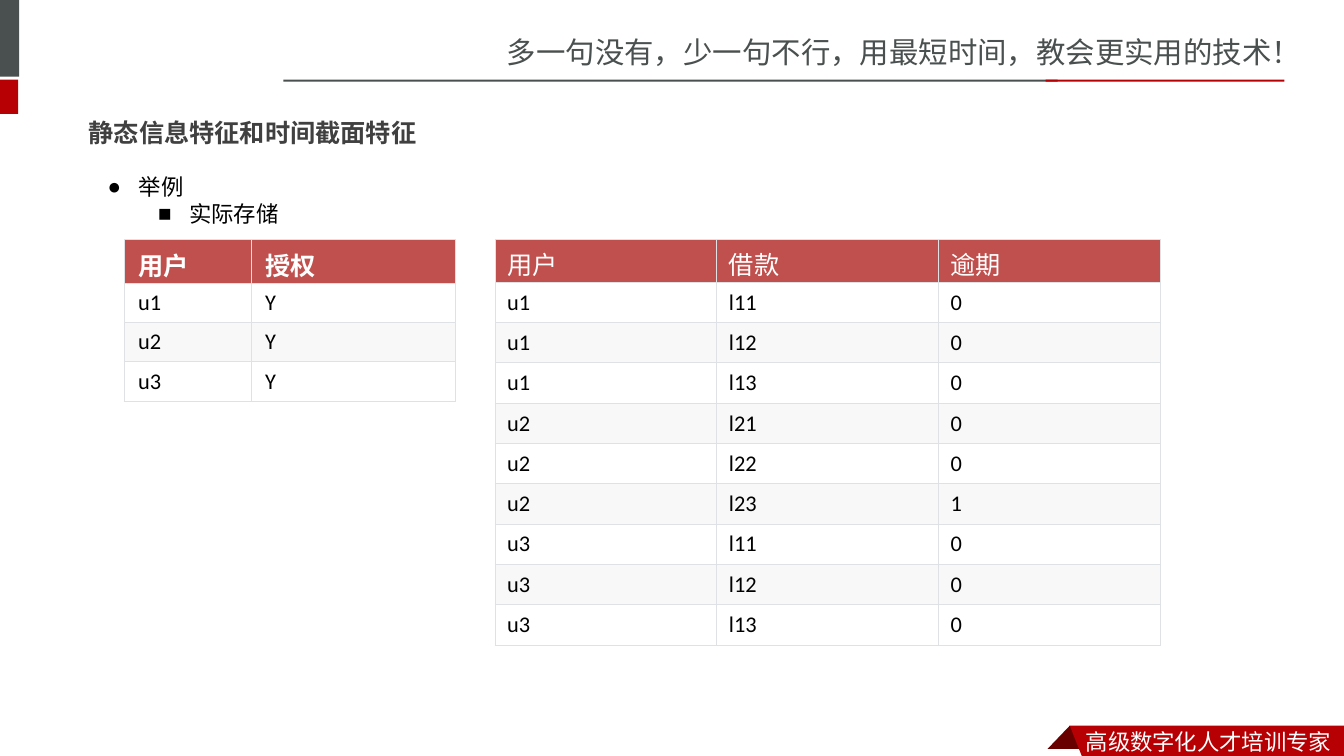
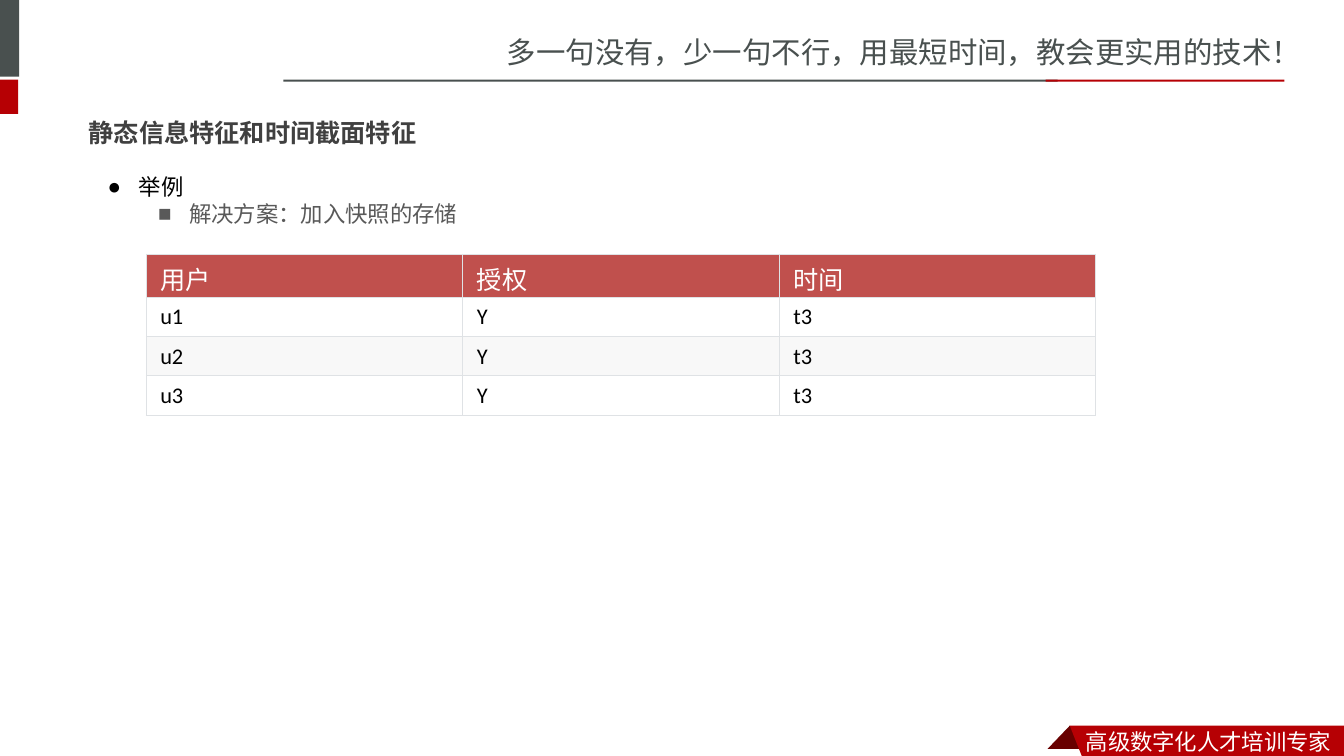
"""Build two slides on static and time-section features with example tables."""
from dataclasses import dataclass

from lxml import etree
from pptx import Presentation, util as u
from pptx.dml.color import RGBColor
from pptx.enum import shapes, text
from pptx.oxml import ns


@dataclass(frozen=True)
class Theme:
    """Colours, fonts and type sizes shared by the slides."""
    slate: str = "49504F"
    red: str = "B60004"
    fold: str = "680000"
    white: str = "FFFFFF"
    black: str = "000000"
    title: str = "404040"
    muted: str = "595959"
    header: str = "C0504D"
    stripe: str = "F8F8F8"
    border: str = "DFE2E5"
    body_font: str = "Calibri"
    band_font: str = "Noto Sans CJK SC"
    title_font: str = "Noto Sans CJK JP"
    tagline_size: int = 21
    title_size: int = 18
    body_size: int = 16


THEME = Theme()
WIDTH, HEIGHT = 13.33, 7.5
TAGLINE = "多一句没有，少一句不行，用最短时间，教会更实用的技术！"
FOOTER = "高级数字化人才培训专家"
TITLE = "静态信息特征和时间截面特征"

BARS = [
    ((0, 0, 0.19, 0.76), THEME.slate),
    ((0, 0.79, 0.18, 0.34), THEME.red),
    ((2.81, 0.79, 7.68, 0.02), THEME.slate),
    ((10.37, 0.79, 2.37, 0.02), THEME.red),
]
RIBBON = [
    ([(10.61, 7.2), (10.83, 7.43), (10.39, 7.43)], THEME.fold),
    ([(10.61, 7.2), (WIDTH, 7.2), (WIDTH, HEIGHT), (10.73, HEIGHT)], THEME.red),
]

AUTHORISED = [("u1", "Y"), ("u2", "Y"), ("u3", "Y")]
LOANS = [
    ("u1", "l11", "0"), ("u1", "l12", "0"), ("u1", "l13", "0"),
    ("u2", "l21", "0"), ("u2", "l22", "0"), ("u2", "l23", "1"),
    ("u3", "l11", "0"), ("u3", "l12", "0"), ("u3", "l13", "0"),
]
SLIDES = [
    {
        "points": [("举例", THEME.black), ("实际存储", THEME.black)],
        "tables": [
            {"at": (1.23, 2.38), "columns": (1.26, 2.03), "rows": (0.43, 0.39),
             "inset": 0.14, "bold": True,
             "cells": [("用户", "授权"), *AUTHORISED]},
            {"at": (4.91, 2.38), "columns": (2.2,) * 3, "rows": (0.42, 0.4),
             "inset": 0.12, "cells": [("用户", "借款", "逾期"), *LOANS]},
        ],
    },
    {
        "points": [("举例", THEME.black), ("解决方案：加入快照的存储", THEME.muted)],
        "tables": [
            {"at": (1.45, 2.52), "columns": (3.14,) * 3, "rows": (0.43, 0.39),
             "inset": 0.14,
             "cells": [("用户", "授权", "时间"), *[(*row, "t3") for row in AUTHORISED]]},
        ],
    },
]


def add_xml(parent, tag, **attributes):
    """Append a drawing element to a parent element."""
    return etree.SubElement(parent, ns.qn(tag), attributes)


def write(paragraph, words, *, size=THEME.body_size, color=THEME.black,
          font=THEME.body_font, bold=False):
    """Add one formatted run to a paragraph."""
    paragraph.alignment = text.PP_ALIGN.LEFT
    run = paragraph.add_run()
    run.text = words
    run.font.size = u.Pt(size)
    run.font.bold = bold
    run.font.color.rgb = RGBColor.from_string(color)
    run.font.name = font
    add_xml(run.font._element, "a:ea", typeface=font)


def add_box(slide, box):
    """Add an unwrapped text box and return its text frame."""
    frame = slide.shapes.add_textbox(*map(u.Inches, box)).text_frame
    frame.word_wrap = False
    return frame


def paint(shape, color):
    """Give a shape a plain fill without line or shadow."""
    shape.shadow.inherit = False
    shape.fill.solid()
    shape.fill.fore_color.rgb = RGBColor.from_string(color)
    shape.line.fill.background()


def add_frame(slide):
    """Draw the tagline, bars and footer ribbon."""
    write(add_box(slide, (4.93, 0.29, 8.4, 0.45)).paragraphs[0], TAGLINE,
          size=THEME.tagline_size, color=THEME.slate, font=THEME.band_font)
    for box, color in BARS:
        bar = slide.shapes.add_shape(shapes.MSO_SHAPE.RECTANGLE, *map(u.Inches, box))
        paint(bar, color)
    for points, color in RIBBON:
        start, *others = [(u.Inches(x), u.Inches(y)) for x, y in points]
        builder = slide.shapes.build_freeform(*start)
        builder.add_line_segments(others, close=True)
        paint(builder.convert_to_shape(), color)
    write(add_box(slide, (10.67, 7.17, 2.66, 0.33)).paragraphs[0], FOOTER,
          color=THEME.white, font=THEME.band_font)


def add_title(slide):
    """Place and format the title placeholder."""
    title = slide.shapes.title
    title.left, title.top, title.width, title.height = map(
        u.Inches, (0.78, 1.03, 11.76, 0.57))
    frame = title.text_frame
    frame.auto_size = text.MSO_AUTO_SIZE.NONE
    frame.vertical_anchor = text.MSO_ANCHOR.MIDDLE
    write(frame.paragraphs[0], TITLE, size=THEME.title_size, color=THEME.title,
          font=THEME.title_font, bold=True)


def add_points(slide, points):
    """Add the bulleted outline, one level deeper per line."""
    frame = add_box(slide, (0.97, 1.67, 3.67, 0.64))
    for level, (words, color) in enumerate(points):
        paragraph = frame.add_paragraph() if level else frame.paragraphs[0]
        paragraph.level = level
        properties = paragraph._p.get_or_add_pPr()
        properties.set("marL", str(u.Inches(0.31 + 0.5 * level)))
        properties.set("indent", str(-u.Inches(0.31)))
        add_xml(properties, "a:buFont", typeface="Arial")
        add_xml(properties, "a:buChar", char="●■"[level])
        write(paragraph, words, color=color)


def format_cell(cell, inset, color, drop=0):
    """Set the borders, insets and fill of a cell, lowering its text by drop."""
    properties = cell._tc.get_or_add_tcPr()
    for side in "LRTB":
        line = add_xml(properties, f"a:ln{side}", w=str(u.Pt(0.75)))
        add_xml(add_xml(line, "a:solidFill"), "a:srgbClr", val=THEME.border)
    cell.margin_left = cell.margin_right = u.Inches(inset)
    cell.margin_top = u.Inches(0.06 + drop)
    cell.margin_bottom = u.Inches(0.06 - drop)
    cell.vertical_anchor = text.MSO_ANCHOR.MIDDLE
    if color:
        cell.fill.solid()
        cell.fill.fore_color.rgb = RGBColor.from_string(color)
    else:
        cell.fill.background()


def add_table(slide, at, columns, rows, inset, cells, bold=False):
    """Add a table with a coloured header and striped body."""
    header_height, row_height = rows
    height = header_height + row_height * (len(cells) - 1)
    table = slide.shapes.add_table(
        len(cells), len(columns), *map(u.Inches, (*at, sum(columns), height))).table
    table.first_row = table.horz_banding = False
    for column, width in zip(table.columns, columns):
        column.width = u.Inches(width)
    for row, values in enumerate(cells):
        header = row == 0
        table.rows[row].height = u.Inches(header_height if header else row_height)
        stripe = THEME.stripe if row % 2 == 0 else None
        for column, words in enumerate(values):
            cell = table.cell(row, column)
            format_cell(cell, inset, THEME.header if header else stripe,
                        drop=0.05 if header else 0)
            write(cell.text_frame.paragraphs[0], words, bold=header and bold,
                  size=THEME.title_size if header else THEME.body_size,
                  color=THEME.white if header else THEME.black)


def main():
    """Build and save the presentation."""
    presentation = Presentation()
    presentation.slide_width = u.Inches(WIDTH)
    presentation.slide_height = u.Inches(HEIGHT)
    for content in SLIDES:
        slide = presentation.slides.add_slide(presentation.slide_layouts[5])
        add_frame(slide)
        add_title(slide)
        add_points(slide, content["points"])
        for table in content["tables"]:
            add_table(slide, **table)
    presentation.save("out.pptx")


if __name__ == "__main__":
    main()
